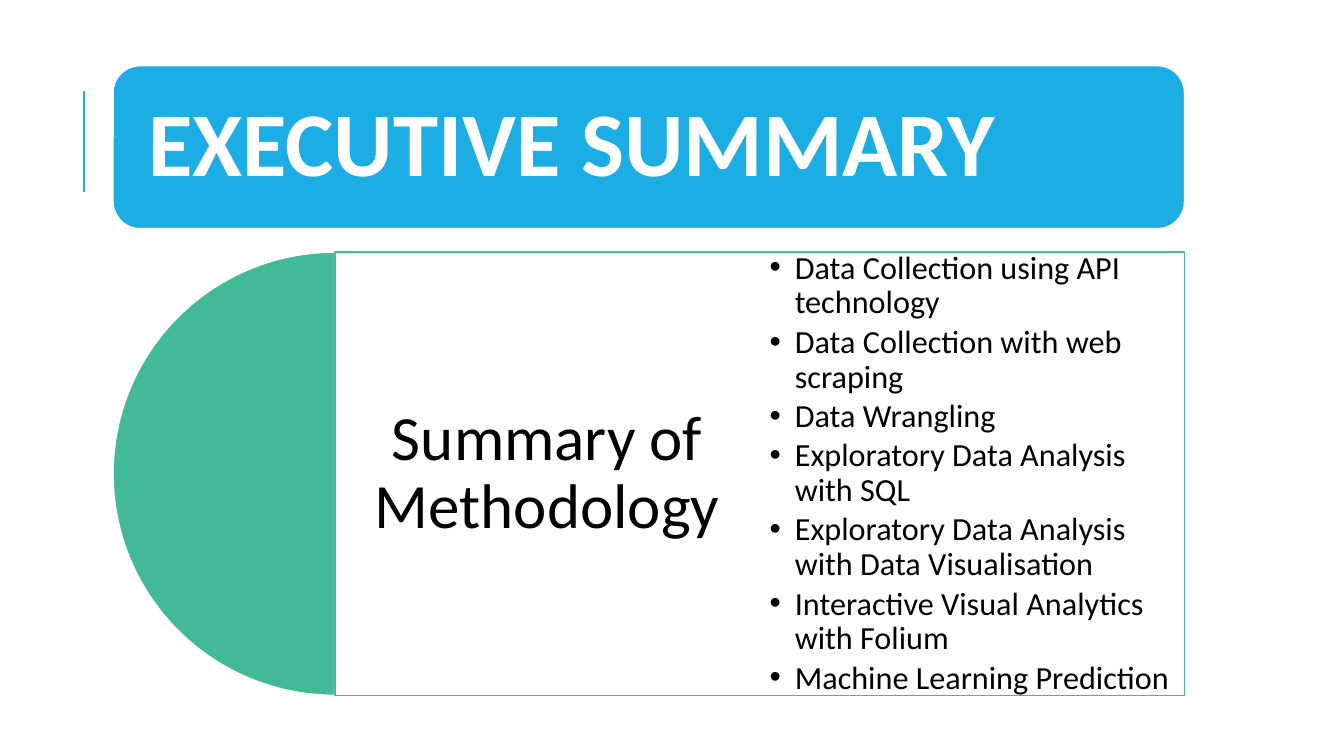
"""Build the executive summary slide."""
from dataclasses import dataclass

from lxml import etree
from pptx import Presentation
from pptx import util as u
from pptx.dml.color import RGBColor
from pptx.enum import shapes, text
from pptx.oxml import ns


@dataclass(frozen=True)
class Theme:
    """Colours, font and type sizes of the deck."""
    blue: str = "1CADE4"
    green: str = "42BA97"
    white: str = "FFFFFF"
    black: str = "000000"
    font: str = "Calibri"
    title: float = 65
    heading: float = 45
    body: float = 23
    outline: float = 1.25
    rule: float = 1.5


def apply(target, values):
    """Set each named attribute on the target."""
    for name, value in values.items():
        setattr(target, name, value)


def add_xml(parent, tag, **attrs):
    """Append a DrawingML element to the parent."""
    return etree.SubElement(parent, ns.qn(tag), attrs)


class SlideBuilder:
    """Draw styled elements on the current slide."""

    def __init__(self, prs, theme):
        """Add a blank slide to draw on."""
        self.theme = theme
        self.slide = prs.slides.add_slide(prs.slide_layouts[6])

    def rule(self, x, top, bottom, color):
        """Draw a vertical line."""
        line = self.slide.shapes.add_connector(
            shapes.MSO_CONNECTOR.STRAIGHT,
            *map(u.Inches, (x, bottom, x, top)))
        line.line.color.rgb = RGBColor.from_string(color)
        line.line.width = u.Pt(self.theme.rule)
        add_xml(line.element.spPr, "a:effectLst")

    def shape(self, kind, box, fill, line, adjustments=(), opacity=100):
        """Draw a filled and outlined preset shape."""
        sp = self.slide.shapes.add_shape(kind, *map(u.Inches, box))
        sp.shadow.inherit = False
        for i, value in enumerate(adjustments):
            sp.adjustments[i] = value
        sp.fill.solid()
        sp.fill.fore_color.rgb = RGBColor.from_string(fill)
        sp.line.color.rgb = RGBColor.from_string(line)
        sp.line.width = u.Pt(self.theme.outline)
        if opacity < 100:
            color = sp.element.spPr.find(ns.qn("a:solidFill"))[0]
            add_xml(color, "a:alpha", val=str(opacity * 1000))

    def text(self, box, lines, size, color, inset, after=0, bold=False,
             align=text.PP_ALIGN.LEFT, bullet=False):
        """Write paragraphs in a vertically centred box."""
        tf = self.slide.shapes.add_textbox(*map(u.Inches, box)).text_frame
        margins = ("margin_left", "margin_top", "margin_right", "margin_bottom")
        apply(tf, {"word_wrap": True, "vertical_anchor": text.MSO_ANCHOR.MIDDLE,
                   **dict.fromkeys(margins, u.Inches(inset))})
        for i, line in enumerate(lines):
            p = tf.add_paragraph() if i else tf.paragraphs[0]
            apply(p, {"alignment": align, "line_spacing": 0.9,
                      "space_after": u.Pt(after)})
            if bullet:
                indent = u.Inches(0.25)
                pPr = p._p.get_or_add_pPr()
                pPr.set("marL", str(indent))
                pPr.set("indent", str(-indent))
                add_xml(pPr, "a:buFont", typeface="Arial")
                add_xml(pPr, "a:buChar", char="•")
            r = p.add_run()
            r.text = line
            apply(r.font, {"name": self.theme.font, "size": u.Pt(size),
                           "bold": bold})
            r.font.color.rgb = RGBColor.from_string(color)


def main():
    """Compose and save the slide."""
    prs = Presentation()
    apply(prs, {"slide_width": u.Inches(13.33), "slide_height": u.Inches(7.5)})
    theme = Theme()
    s = SlideBuilder(prs, theme)
    kinds = shapes.MSO_SHAPE

    s.rule(0.83, 0.9, 1.9, theme.blue)
    left, width = 1.12, 10.63
    s.shape(kinds.ROUNDED_RECTANGLE, (left, 0.65, width, 1.62),
            theme.blue, theme.white)
    s.text((1.2, 0.73, 10.47, 1.46), ["EXECUTIVE SUMMARY"],
           theme.title, theme.white, 0.27, bold=True)

    top, size = 2.5, 4.4
    panel_left = left + size / 2
    panel_width = width - size / 2
    column = panel_width / 2
    s.shape(kinds.PIE, (left, top, size, size), theme.green, theme.white,
            adjustments=(54, 162))
    s.shape(kinds.RECTANGLE, (panel_left, top, panel_width, size),
            theme.white, theme.green, opacity=90)
    s.text((panel_left, top, column, size), ["Summary of Methodology"],
           theme.heading, theme.black, 0.19, align=text.PP_ALIGN.CENTER)
    s.text((panel_left + column, top, column, size), [
        "Data Collection using API technology",
        "Data Collection with web scraping",
        "Data Wrangling",
        "Exploratory Data Analysis with SQL",
        "Exploratory Data Analysis with Data Visualisation",
        "Interactive Visual Analytics with Folium",
        "Machine Learning Prediction",
    ], theme.body, theme.black, 0.1, after=3.3, bullet=True)

    prs.save("out.pptx")


if __name__ == "__main__":
    main()
